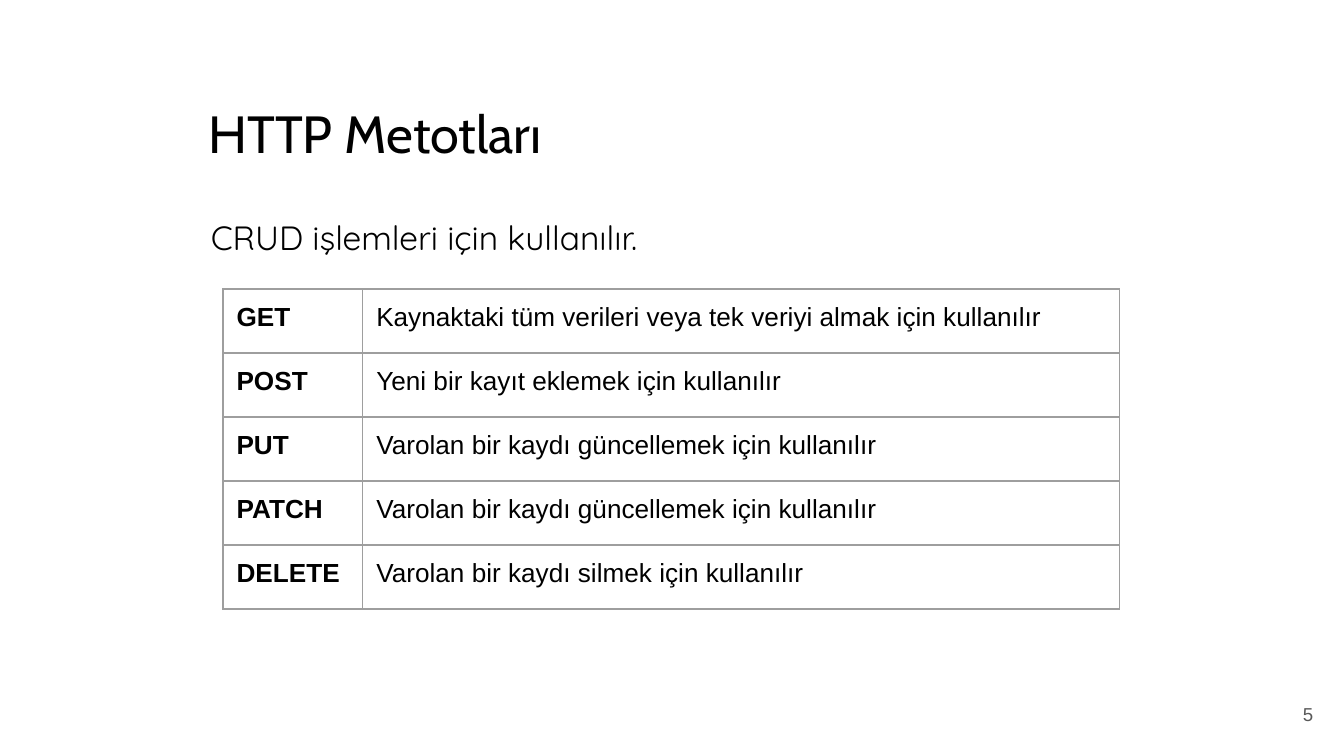
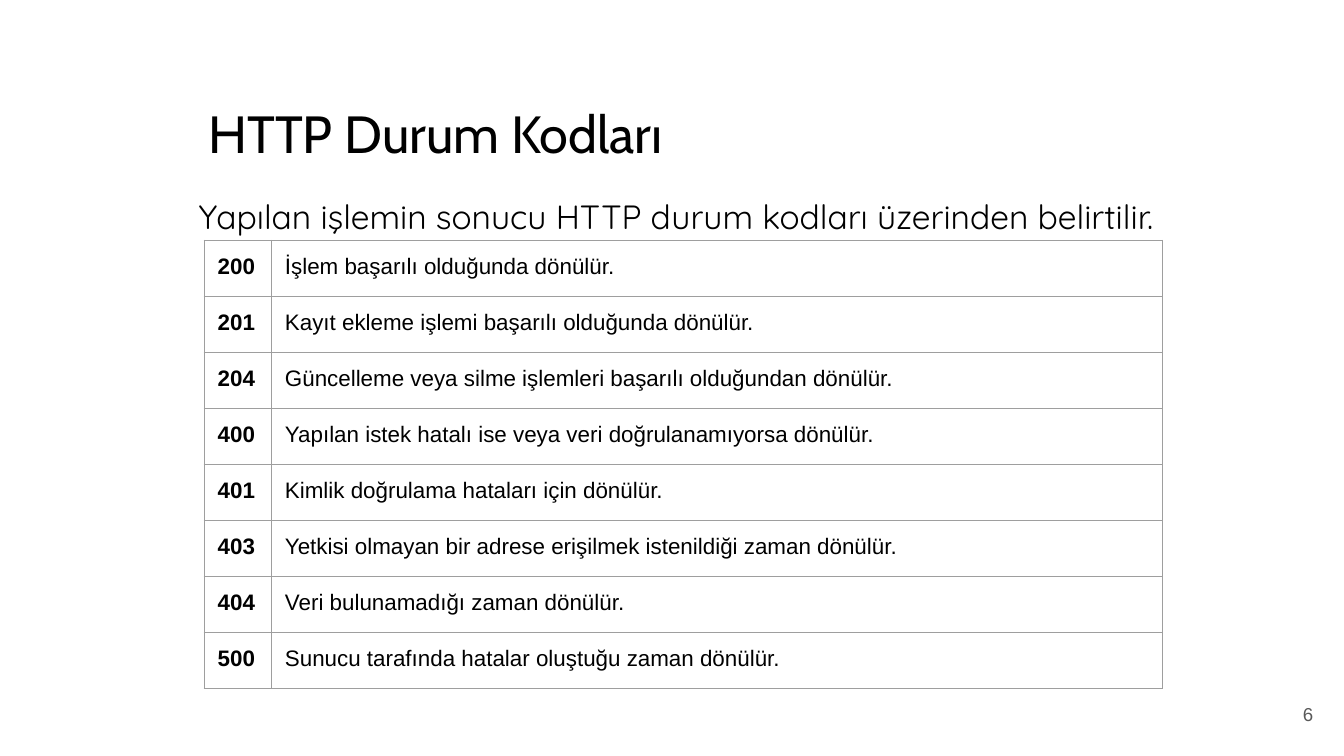
"""Build two slides on HTTP methods and HTTP status codes."""
from lxml.etree import SubElement
from pptx import Presentation
from pptx.dml.color import RGBColor
from pptx.enum.text import MSO_ANCHOR, MSO_AUTO_SIZE, PP_ALIGN
from pptx.oxml.ns import qn
from pptx.util import Inches, Pt

BLACK, GREY, BORDER = "000000", "595959", "9E9E9E"
MARGIN = Inches(0.1)

presentation = Presentation()
presentation.slide_width = Inches(10)
presentation.slide_height = Inches(5.625)


def share(left, top, width, height):
    """Turn percentages of the slide's size into lengths."""
    across, down = presentation.slide_width / 100, presentation.slide_height / 100
    return round(left * across), round(top * down), round(width * across), round(height * down)


def write(text_frame, text, font_name, size, color, bold=False):
    """Put one formatted paragraph into a text frame."""
    text_frame.text = text
    text_frame.word_wrap = True
    paragraph = text_frame.paragraphs[0]
    paragraph.alignment = PP_ALIGN.LEFT
    font = paragraph.runs[0].font
    font.name, font.size, font.bold = font_name, Pt(size), bold
    font.color.rgb = RGBColor.from_string(color)
    return paragraph


pages = [
    {
        "number": 5,
        "title": "HTTP Metotları",
        "intro": "CRUD işlemleri için kullanılır.",
        "intro_box": (14.7, 26.13, 76.2, 8.53),
        "table_corner": (16.6, 38.22),
        "columns": (10.4, 56.3),
        "row_height": 8.47,
        "size": 14,
        "rows": [
            ("GET", "Kaynaktaki tüm verileri veya tek veriyi almak için kullanılır"),
            ("POST", "Yeni bir kayıt eklemek için kullanılır"),
            ("PUT", "Varolan bir kaydı güncellemek için kullanılır"),
            ("PATCH", "Varolan bir kaydı güncellemek için kullanılır"),
            ("DELETE", "Varolan bir kaydı silmek için kullanılır"),
        ],
    },
    {
        "number": 6,
        "title": "HTTP Durum Kodları",
        "intro": "Yapılan işlemin sonucu HTTP durum kodları üzerinden belirtilir.",
        "intro_box": (13.8, 23.29, 80.5, 8.53),
        "table_corner": (15.2, 31.82),
        "columns": (5, 66.3),
        "row_height": 7.41,
        "size": 12,
        "rows": [
            ("200", "İşlem başarılı olduğunda dönülür."),
            ("201", "Kayıt ekleme işlemi başarılı olduğunda dönülür."),
            ("204", "Güncelleme veya silme işlemleri başarılı olduğundan dönülür."),
            ("400", "Yapılan istek hatalı ise veya veri doğrulanamıyorsa dönülür."),
            ("401", "Kimlik doğrulama hataları için dönülür."),
            ("403", "Yetkisi olmayan bir adrese erişilmek istenildiği zaman dönülür."),
            ("404", "Veri bulunamadığı zaman dönülür."),
            ("500", "Sunucu tarafında hatalar oluştuğu zaman dönülür."),
        ],
    },
]

for page in pages:
    slide = presentation.slides.add_slide(presentation.slide_layouts[5])

    title = slide.shapes.title
    title.left, title.top, title.width, title.height = share(14.5, 11.56, 74.8, 11.2)
    write(title.text_frame, page["title"], "Cabin", 28, BLACK)

    intro = slide.shapes.add_textbox(*share(*page["intro_box"]))
    write(intro.text_frame, page["intro"], "Quicksand", 18, BLACK).line_spacing = 1.15

    number = slide.shapes.add_textbox(*share(92.7, 90.67, 6, 7.64))
    write(number.text_frame, str(page["number"]), "Arial", 10, GREY).alignment = PP_ALIGN.RIGHT

    for shape in (title, intro, number):
        text_frame = shape.text_frame
        text_frame.auto_size = MSO_AUTO_SIZE.NONE
        text_frame.vertical_anchor = MSO_ANCHOR.MIDDLE if shape is number else MSO_ANCHOR.TOP
        text_frame.margin_left = text_frame.margin_right = MARGIN
        text_frame.margin_top = text_frame.margin_bottom = MARGIN

    rows, columns = page["rows"], page["columns"]
    table_box = share(*page["table_corner"], sum(columns), page["row_height"] * len(rows))
    table = slide.shapes.add_table(len(rows), len(columns), *table_box).table
    table.first_row = table.horz_banding = False
    for column, width in zip(table.columns, columns):
        column.width = share(0, 0, width, 0)[2]

    for row_index, row in enumerate(rows):
        for column_index, text in enumerate(row):
            cell = table.cell(row_index, column_index)
            write(cell.text_frame, text, "Arial", page["size"], BLACK, bold=column_index == 0)
            cell.margin_left = cell.margin_right = MARGIN
            cell.margin_top = cell.margin_bottom = MARGIN
            cell_properties = cell._tc.get_or_add_tcPr()
            cell_properties.attrib.pop("wrap", None)
            for side in ("a:lnL", "a:lnR", "a:lnT", "a:lnB"):
                line = SubElement(cell_properties, qn(side), w=str(Pt(0.75)))
                fill = SubElement(line, qn("a:solidFill"))
                SubElement(fill, qn("a:srgbClr"), val=BORDER)
            cell.fill.background()

presentation.save("out.pptx")
